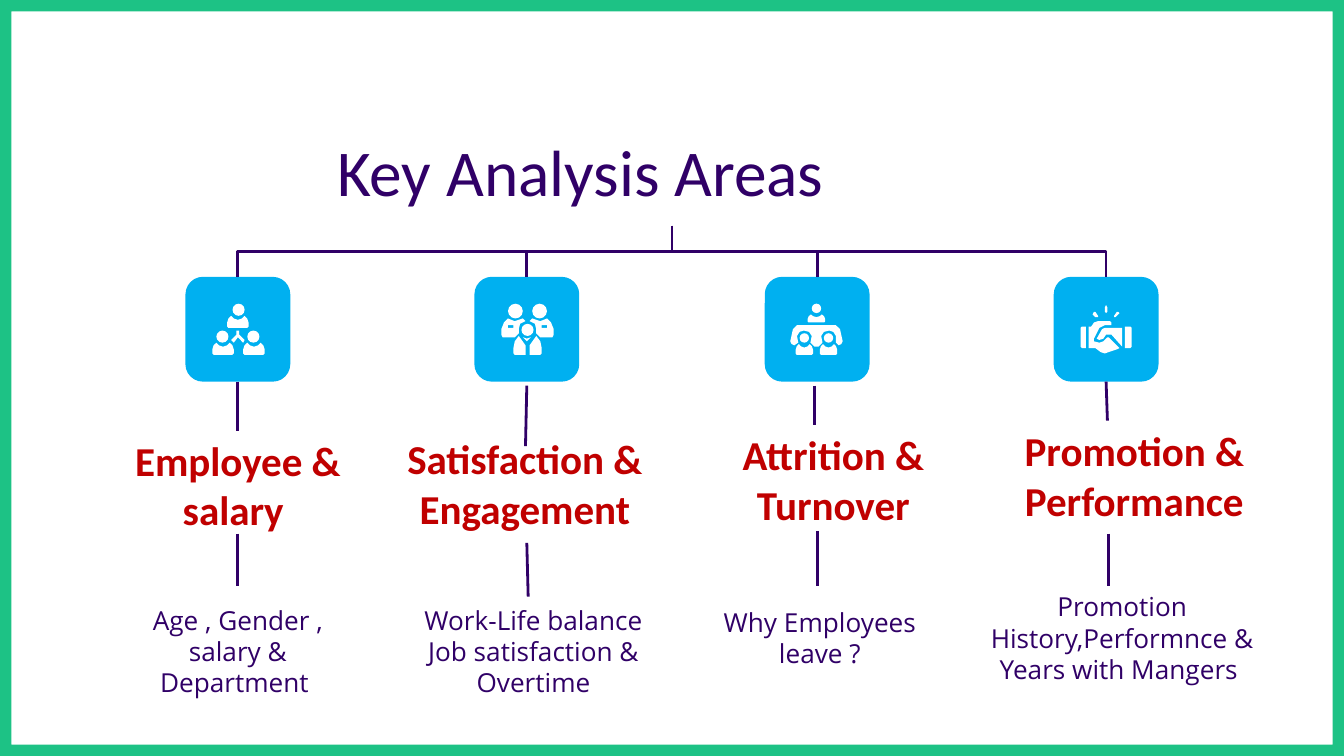
from pptx import Presentation
from pptx.dml.color import RGBColor as Rgb
from pptx.enum.shapes import MSO_CONNECTOR as Wire, MSO_SHAPE as Kind
from pptx.enum.text import MSO_ANCHOR as Anchor, PP_ALIGN as Align
from pptx.oxml.ns import qn
from pptx.util import Pt
from lxml import etree


class Theme:
    green = Rgb.from_string("1DC285")
    ink = Rgb.from_string("300067")
    red = Rgb.from_string("C00000")
    blue = Rgb.from_string("00B0F0")
    white = Rgb.from_string("FFFFFF")
    head, body = "Calibri", "Open Sans"
    title, label, note, rule = Pt(35), Pt(22), Pt(14), Pt(1.5)


px = 9144
wide, high = 1000 * px, 1000 * px * 9 // 16
deck = Presentation()
deck.slide_width, deck.slide_height = wide, high
slide = deck.slides.add_slide(deck.slide_layouts[6])
shapes = slide.shapes


def paint(shape, color):
    shape.shadow.inherit = False
    shape.fill.solid()
    shape.fill.fore_color.rgb = color
    shape.line.fill.background()


def wire(kind, *ends):
    line = shapes.add_connector(kind, *[n * px for n in ends])
    line.line.color.rgb = Theme.ink
    line.line.width = Theme.rule
    etree.SubElement(line._element.spPr, qn("a:effectLst"))
    return line


frame = shapes.add_shape(Kind.FRAME, 0, 0, wide, high)
frame.adjustments[0] = 0.015
paint(frame, Theme.green)

title = (Theme.head, Theme.title, Theme.ink, False, Align.LEFT, Anchor.TOP)
label = (Theme.head, Theme.label, Theme.red, True, Align.CENTER, Anchor.MIDDLE)
note = (Theme.body, Theme.note, Theme.ink, False, Align.CENTER, Anchor.MIDDLE)
texts = [
    ("Key Analysis Areas", (241, 88, 843, 63), title),
    ("Satisfaction & Engagement", (244, 332, 293, 55), label),
    ("Attrition & Turnover", (519, 329, 202, 55), label),
    ("Promotion &\nPerformance", (688, 326, 312, 55), label),
    ("Employee & salary ", (76, 333, 202, 55), label),
    ("Work-Life balance\nJob satisfaction & Overtime", (296, 465, 202, 39), note),
    ("Age , Gender , salary & Department ", (76, 465, 202, 39), note),
    ("Why Employees leave ?", (509, 455, 202, 39), note),
    ("Promotion History,Performnce & Years with Mangers ", (711, 455, 248, 39), note),
]
for words, area, (face, size, color, bold, align, anchor) in texts:
    box = shapes.add_textbox(*[n * px for n in area])
    text = box.text_frame
    text.word_wrap = True
    text.vertical_anchor = anchor
    text.margin_left = text.margin_right = 10 * px
    text.margin_top = text.margin_bottom = 10 * px
    text.text = words
    for para in text.paragraphs:
        para.alignment = align
        for run in para.runs:
            run.font.name, run.font.size = face, size
            run.font.bold, run.font.color.rgb = bold, color

upper = [(177, 284, 177, 321), (392, 287, 391, 332),
         (606, 287, 606, 316), (823, 284, 824, 313)]
lower = [(177, 397, 177, 436), (392, 404, 393, 444),
         (608, 395, 608, 436), (825, 397, 825, 436)]
for i, (top, low) in enumerate(zip(upper, lower)):
    left = round(138 + 646 * i / 3)
    mid = left + 39
    tile = shapes.add_shape(Kind.ROUNDED_RECTANGLE, left * px, 206 * px, 78 * px, 78 * px)
    tile.adjustments[0] = 0.167
    paint(tile, Theme.blue)

    bent = wire(Wire.ELBOW, 500, 168, mid, 206)
    bent.end_connect(tile, 0)
    span = abs(mid - 500)
    form = bent._element.spPr.find(qn("a:xfrm"))
    form.attrib.pop("flipH", None)
    form.set("rot", "5400000" if mid < 500 else "16200000")
    if mid > 500:
        form.set("flipH", "1")
    bent.left, bent.top = (500 + mid - 38) * px // 2, (374 - span) * px // 2
    bent.width, bent.height = 38 * px, span * px

    stem = wire(Wire.STRAIGHT, *top)
    if top[:2] == (mid, 284):
        stem.begin_connect(tile, 2)
    wire(Wire.STRAIGHT, *low)

bust = [(3, 0), (5, 2), (8, 3), (11, 2), (13, 0), (15, 2), (16, 5),
        (16, 8), (15, 9), (1, 9), (0, 8), (0, 5), (1, 2)]
fork = [(176, 246), (178, 246), (178, 249), (182, 253), (181, 255),
        (177, 251), (174, 255), (172, 253), (176, 249)]
wing = [(378, 237), (383, 239), (389, 237), (391, 239), (387, 241), (386, 245),
        (386, 248), (383, 251), (374, 251), (373, 249), (373, 245), (375, 240)]
slot = [(378, 242), (378, 244), (382, 244), (382, 242)]
leg = [(386, 250), (391, 257), (391, 264), (383, 264), (382, 263), (382, 259), (383, 254)]
half = [[wing, slot], [leg]]
flip = [[[(785 - x, y) for x, y in ring] for ring in part] for part in half]
tie = [(389, 251), (392, 252), (395, 251), (392, 254)]
desk = [(593, 242), (622, 242), (625, 245), (627, 254), (626, 256), (624, 257),
        (622, 255), (622, 250), (620, 247), (617, 246), (613, 247), (611, 250),
        (612, 255), (609, 258), (606, 258), (603, 255), (604, 250), (602, 247),
        (598, 246), (595, 247), (593, 250), (594, 255), (591, 257), (589, 256),
        (588, 254), (590, 245)]
cuffs = [[(805, 243), (808, 243), (808, 259), (805, 259), (804, 258), (804, 244)],
         [(837, 243), (841, 243), (842, 244), (842, 258), (841, 259), (837, 259)]]
rays = [[(823, 227), (824, 229), (824, 232), (823, 233), (822, 232), (822, 229)],
        [(814, 232), (815, 232), (817, 235), (817, 236), (815, 236), (813, 234)],
        [(832, 232), (833, 233), (830, 236), (829, 236), (829, 235), (831, 232)]]
grip = [(822, 244), (835, 244), (835, 258), (827, 249), (823, 249), (821, 252),
        (818, 253), (816, 252), (820, 245)]
palm = [(817, 239), (826, 239), (827, 240), (827, 242), (822, 242), (818, 244),
        (814, 252), (814, 254), (818, 255), (821, 254), (824, 251), (825, 251),
        (833, 259), (831, 260), (822, 263), (819, 262), (815, 259), (810, 259),
        (810, 243), (812, 243), (814, 240)]

icons = [
    ([(173, 226, 9), (161, 246, 9), (184, 246, 9)],
     [(169, 235, 16, 9), (158, 255, 16, 9), (181, 255, 16, 9)], [[fork]]),
    ([(388, 241, 9), (378, 226, 11), (396, 226, 11)], [], half + flip + [[tie]]),
    ([(604, 226, 7), (595, 248, 7), (613, 248, 7)],
     [(601, 234, 13, 6), (592, 256, 13, 8), (610, 256, 13, 8)], [[desk]]),
    ([], [], [[ring] for ring in cuffs + rays + [grip, palm]]),
]
for heads, busts, parts in icons:
    group = shapes.add_group_shape().shapes
    for x, y, size in heads:
        paint(group.add_shape(Kind.OVAL, x * px, y * px, size * px, size * px), Theme.white)
    people = [[[(x + a * w / 16, y + b * h / 9) for a, b in bust]] for x, y, w, h in busts]
    for part in people + parts:
        rings = [[(round(x * px), round(y * px)) for x, y in ring] for ring in part]
        pen = group.build_freeform(*rings[0][0])
        pen.add_line_segments(rings[0][1:])
        for ring in rings[1:]:
            pen.move_to(*ring[0])
            pen.add_line_segments(ring[1:])
        paint(pen.convert_to_shape(), Theme.white)

deck.save("out.pptx")
